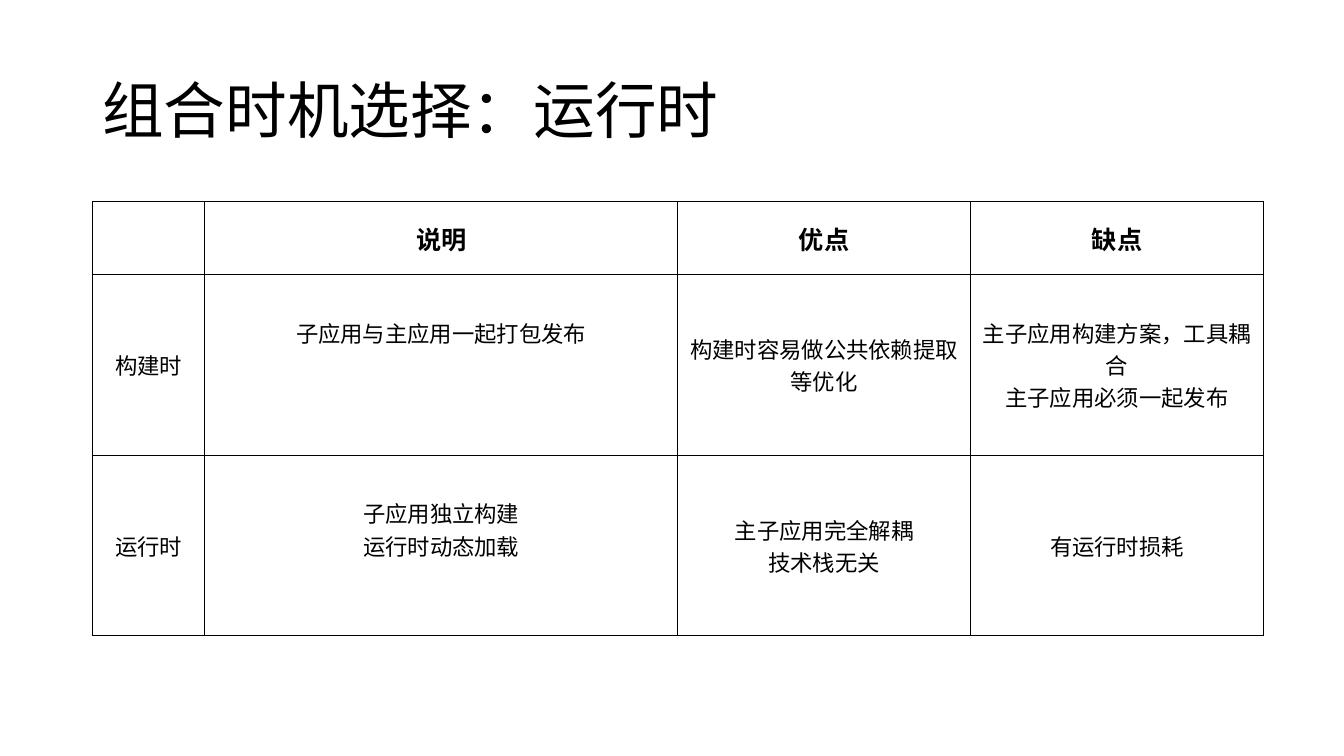
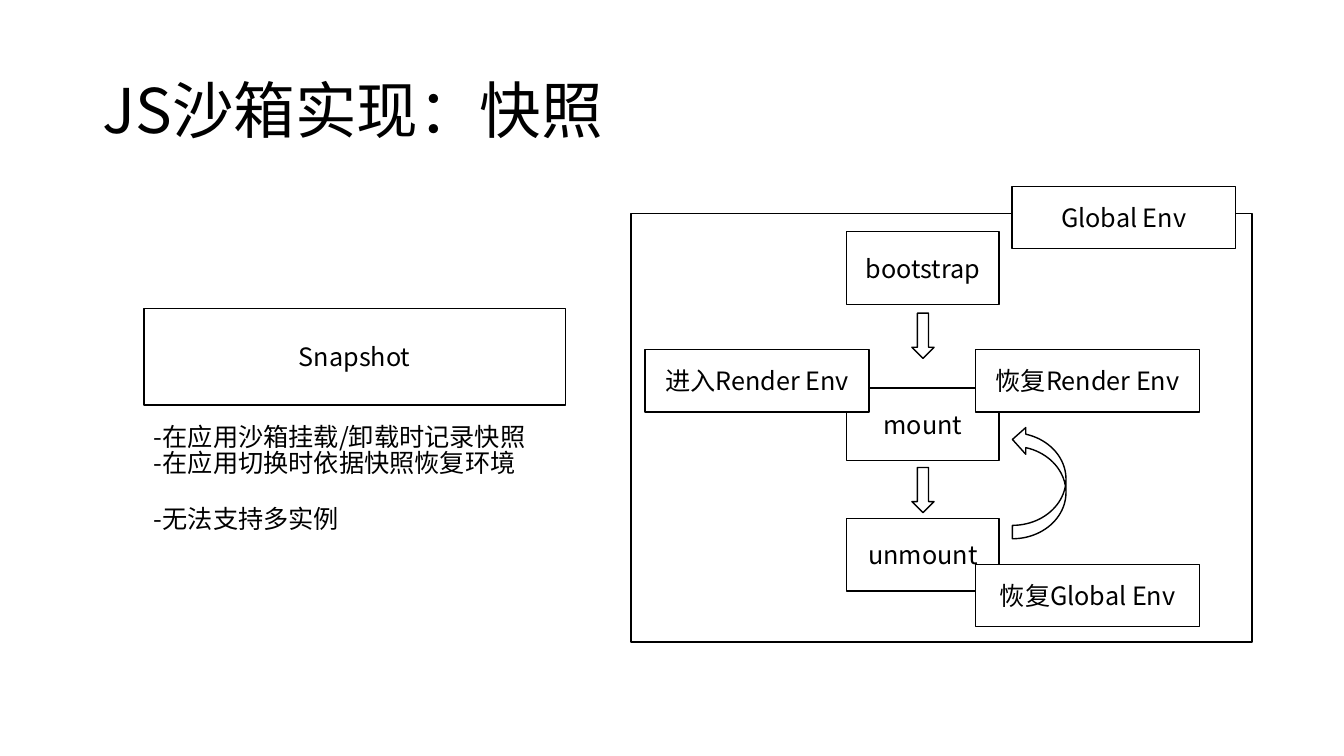
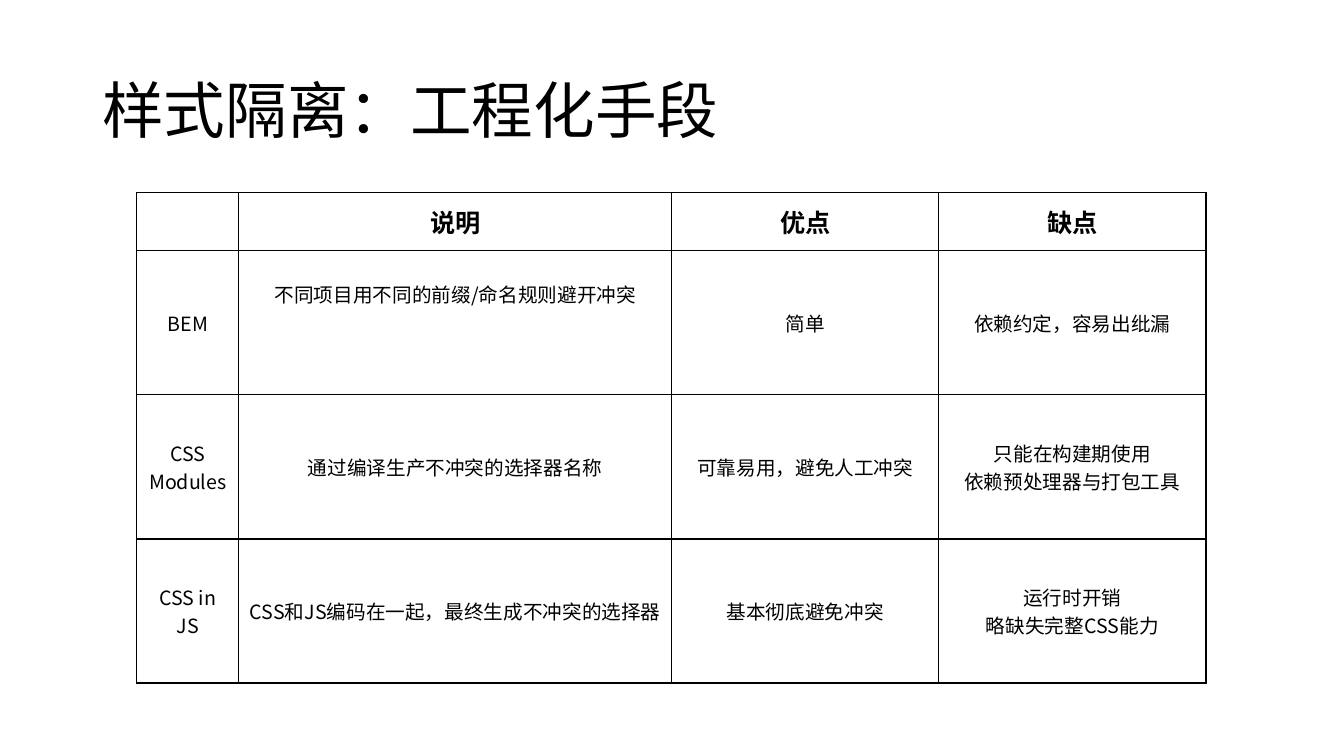
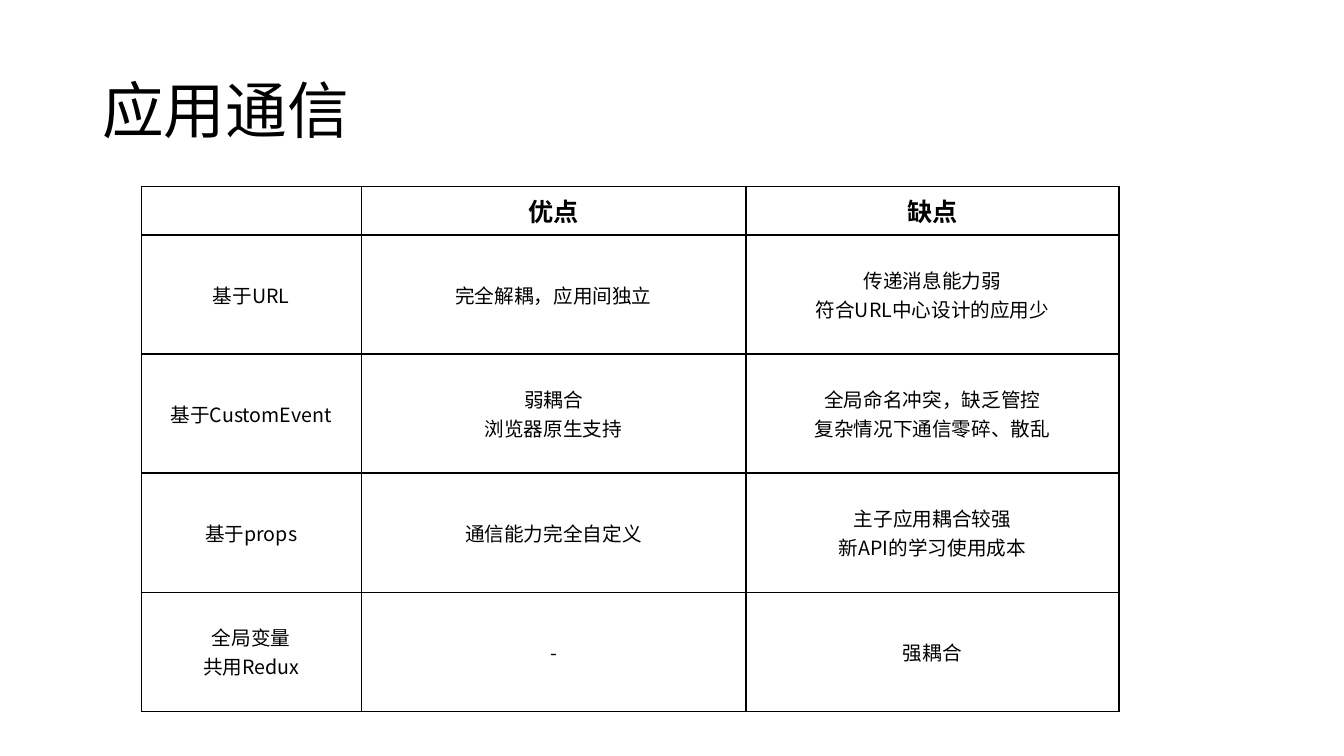
from lxml import etree
from pptx import Presentation
from pptx.dml.color import RGBColor
from pptx.enum.shapes import MSO_SHAPE
from pptx.enum.text import MSO_ANCHOR, PP_ALIGN
from pptx.oxml.ns import qn
from pptx.util import Cm, Pt

RECTANGLE = MSO_SHAPE.RECTANGLE
RIGHT_ARROW = MSO_SHAPE.RIGHT_ARROW
CURVED_ARROW = MSO_SHAPE.CURVED_UP_ARROW
MIDDLE, TOP = MSO_ANCHOR.MIDDLE, MSO_ANCHOR.TOP
CENTER, LEFT = PP_ALIGN.CENTER, PP_ALIGN.LEFT

FONT = "Noto Sans CJK SC"
COLORS = {"ink": "000000", "paper": "FFFFFF"}
TITLE_BOX = (2.33, 1.02, 29.21, 3.68)
HEADER_SIZE = 18
LINE_HEIGHT = 1.45
CELL_MARGIN = 3.6

# Table slides: lengths in cm; "lift" gives blank lines kept below a cell's text
TIMING = {
    "title": "组合时机选择：运行时",
    "at": (2.34, 5.08), "columns": (2.82, 11.92, 7.38, 7.38),
    "header": 1.84, "row": 4.55, "size": 16,
    "lift": {(1, 1): 2, (2, 1): 1},
    "rows": [
        ("", "说明", "优点", "缺点"),
        ("构建时", "子应用与主应用一起打包发布", "构建时容易做公共依赖提取等优化",
         "主子应用构建方案，工具耦合\n主子应用必须一起发布"),
        ("运行时", "子应用独立构建\n运行时动态加载", "主子应用完全解耦\n技术栈无关",
         "有运行时损耗"),
    ],
}
STYLES = {
    "title": "样式隔离：工程化手段",
    "at": (3.45, 4.85), "columns": (2.57, 10.91, 6.73, 6.73),
    "header": 1.47, "row": 3.63, "size": 14,
    "lift": {(1, 1): 2},
    "rows": [
        ("", "说明", "优点", "缺点"),
        ("BEM", "不同项目用不同的前缀/命名规则避开冲突", "简单", "依赖约定，容易出纰漏"),
        ("CSS\nModules", "通过编译生产不冲突的选择器名称", "可靠易用，避免人工冲突",
         "只能在构建期使用\n依赖预处理器与打包工具"),
        ("CSS in JS", "CSS和JS编码在一起，最终生成不冲突的选择器", "基本彻底避免冲突",
         "运行时开销\n略缺失完整CSS能力"),
    ],
}
MESSAGING = {
    "title": "应用通信",
    "at": (3.56, 4.7), "columns": (5.54, 9.7, 9.4),
    "header": 1.22, "row": 3.0, "size": 14,
    "lift": {},
    "rows": [
        ("", "优点", "缺点"),
        ("基于URL", "完全解耦，应用间独立", "传递消息能力弱\n符合URL中心设计的应用少"),
        ("基于CustomEvent", "弱耦合\n浏览器原生支持",
         "全局命名冲突，缺乏管控\n复杂情况下通信零碎、散乱"),
        ("基于props", "通信能力完全自定义", "主子应用耦合较强\n新API的学习使用成本"),
        ("全局变量\n共用Redux", "-", "强耦合"),
    ],
}

# Sandbox slide
SANDBOX_TITLE = "JS沙箱实现：快照"
ENVIRONMENT_FRAME = (15.9, 5.38, 15.65, 10.8)
STAGE_LEFT, STAGE_SIZE = 21.34, (3.84, 1.83)
STAGES = [("bootstrap", 5.84), ("mount", 9.78), ("unmount", 13.06)]
ARROW_SIZE, ARROW_TOPS = (1.14, 0.56), (8.18, 12.07)
RETURN_ARROW = (24.77, 11.48, 2.84, 1.35)
TAG_SIZE = (5.64, 1.57)
TAGS = [
    ("恢复Render Env", 24.59, 8.81),
    ("Global Env", 25.5, 4.7),
    ("进入Render Env", 16.26, 8.81),
    ("恢复Global Env", 24.59, 14.22),
]
SNAPSHOT_BOX = (3.63, 7.77, 10.62, 2.44)
NOTES_BOX = (3.63, 10.62, 10.62, 5.38)
NOTES = "-在应用沙箱挂载/卸载时记录快照\n-在应用切换时依据快照恢复环境\n-无法支持多实例"


def color(name):
    return RGBColor.from_string(COLORS[name])


def write(frame, text, size, bold=False, align=CENTER, anchor=MIDDLE, spacing=None):
    """Fill a text frame, one paragraph per line of text."""
    frame.word_wrap = True
    frame.vertical_anchor = anchor
    for index, line in enumerate(text.split("\n")):
        paragraph = frame.paragraphs[0] if index == 0 else frame.add_paragraph()
        paragraph.alignment = align
        if spacing:
            paragraph.line_spacing = spacing
        run = paragraph.add_run()
        run.text = line
        run.font.size = Pt(size)
        run.font.bold = bold
        run.font.name = FONT
        run.font.color.rgb = color("ink")
        east_asian = etree.SubElement(run._r.get_or_add_rPr(), qn("a:ea"))
        east_asian.set("typeface", FONT)


def add_text(slide, box, text, size, **style):
    shape = slide.shapes.add_textbox(*map(Cm, box))
    write(shape.text_frame, text, size, **style)
    return shape


def add_outline(slide, box, text="", kind=RECTANGLE, fill=None, rotation=0):
    shape = slide.shapes.add_shape(kind, *map(Cm, box))
    shape.shadow.inherit = False
    shape.rotation = rotation
    if fill:
        shape.fill.solid()
        shape.fill.fore_color.rgb = color(fill)
    else:
        shape.fill.background()
    shape.line.color.rgb = color("ink")
    shape.line.width = Pt(1)
    if text:
        write(shape.text_frame, text, 18)


def add_titled_slide(presentation, title):
    slide = presentation.slides.add_slide(presentation.slide_layouts[6])
    add_text(slide, TITLE_BOX, title, 44, align=LEFT, spacing=0.9)
    return slide


def set_borders(cell):
    properties = cell._tc.get_or_add_tcPr()
    for index, side in enumerate(("lnL", "lnR", "lnT", "lnB")):
        border = etree.Element(qn("a:" + side), w=str(Pt(1)))
        fill = etree.SubElement(border, qn("a:solidFill"))
        etree.SubElement(fill, qn("a:srgbClr"), val=COLORS["ink"])
        properties.insert(index, border)


def build_table_slide(presentation, content):
    slide = add_titled_slide(presentation, content["title"])
    rows, columns = content["rows"], content["columns"]
    heights = [content["header"]] + [content["row"]] * (len(rows) - 1)
    box = (*content["at"], sum(columns), sum(heights))
    table = slide.shapes.add_table(len(rows), len(columns), *map(Cm, box)).table
    table.first_row = table.horz_banding = False
    for column, width in zip(table.columns, columns):
        column.width = Cm(width)
    for row, height in zip(table.rows, heights):
        row.height = Cm(height)
    for row_index, texts in enumerate(rows):
        is_header = row_index == 0
        size = HEADER_SIZE if is_header else content["size"]
        for column_index, text in enumerate(texts):
            cell = table.cell(row_index, column_index)
            cell.fill.background()
            set_borders(cell)
            cell.vertical_anchor = MIDDLE
            lift = content["lift"].get((row_index, column_index), 0)
            cell.margin_bottom = Pt(CELL_MARGIN + lift * size * LINE_HEIGHT)
            if text:
                write(cell.text_frame, text, size, bold=is_header, anchor=None)


def build_sandbox_slide(presentation):
    slide = add_titled_slide(presentation, SANDBOX_TITLE)

    # Lifecycle inside the global environment
    add_outline(slide, ENVIRONMENT_FRAME)
    for name, top in STAGES:
        add_outline(slide, (STAGE_LEFT, top, *STAGE_SIZE), name)
    arrow_left = STAGE_LEFT + (STAGE_SIZE[0] - ARROW_SIZE[0]) / 2
    for top in ARROW_TOPS:
        add_outline(slide, (arrow_left, top, *ARROW_SIZE), kind=RIGHT_ARROW, rotation=90)
    add_outline(slide, RETURN_ARROW, kind=CURVED_ARROW, rotation=270)
    for name, left, top in TAGS:
        add_outline(slide, (left, top, *TAG_SIZE), name, fill="paper")

    # Snapshot and its notes
    add_outline(slide, SNAPSHOT_BOX, "Snapshot", fill="paper")
    notes = add_text(slide, NOTES_BOX, NOTES, 18, align=LEFT, anchor=TOP, spacing=0.84)
    notes.text_frame.paragraphs[-1].space_before = Pt(22)


def main():
    presentation = Presentation()
    presentation.slide_width, presentation.slide_height = Cm(33.87), Cm(19.05)
    build_table_slide(presentation, TIMING)
    build_sandbox_slide(presentation)
    build_table_slide(presentation, STYLES)
    build_table_slide(presentation, MESSAGING)
    presentation.save("out.pptx")


if __name__ == "__main__":
    main()
